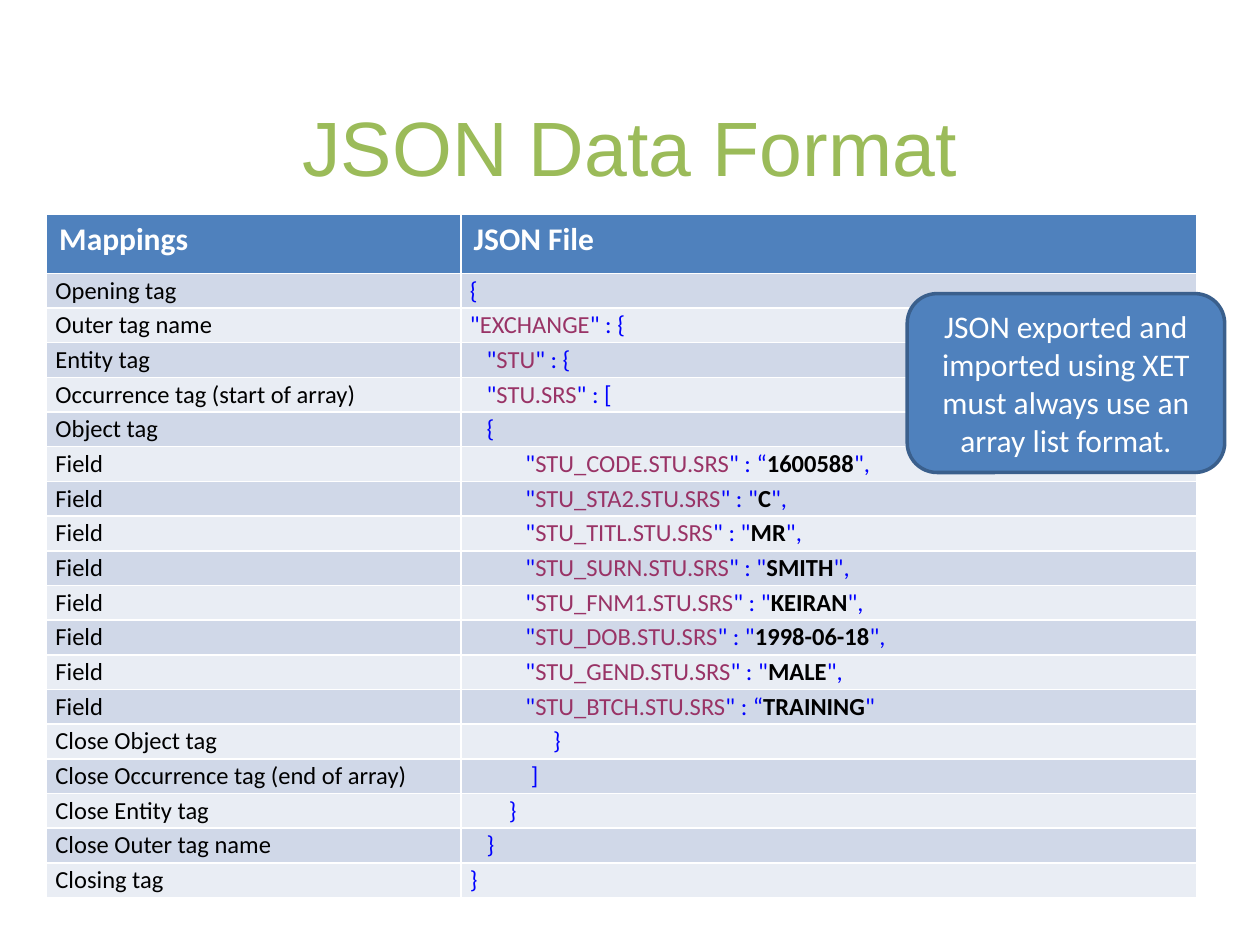
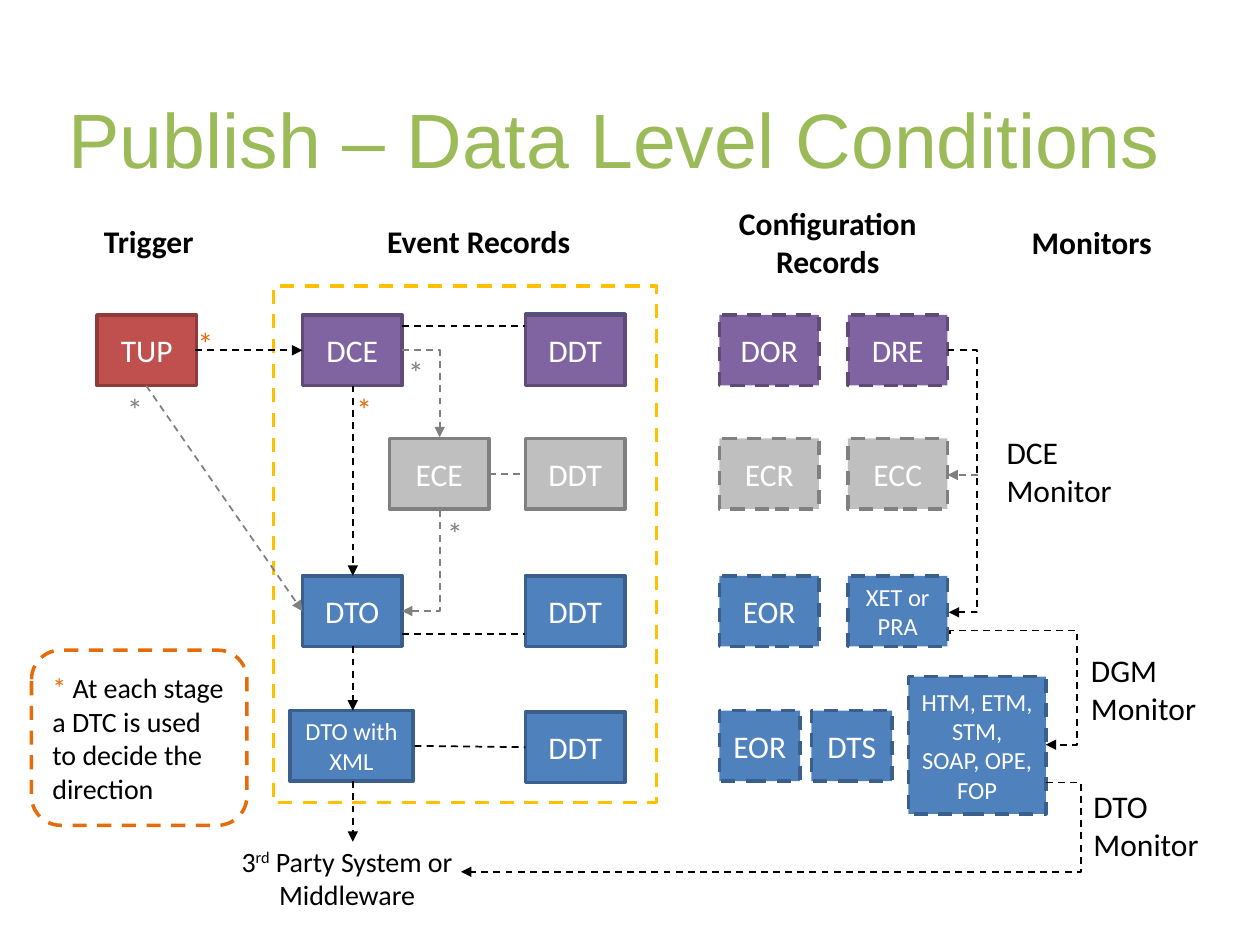
from lxml import etree
from pptx import Presentation
from pptx.dml.color import RGBColor
from pptx.enum.dml import MSO_LINE
from pptx.enum.shapes import MSO_CONNECTOR, MSO_SHAPE
from pptx.enum.text import MSO_ANCHOR, PP_ALIGN
from pptx.oxml.ns import qn
from pptx.util import Inches, Pt

RECTANGLE, ROUNDED = MSO_SHAPE.RECTANGLE, MSO_SHAPE.ROUNDED_RECTANGLE
STRAIGHT, ELBOW = MSO_CONNECTOR.STRAIGHT, MSO_CONNECTOR.ELBOW
DASH = MSO_LINE.DASH
LEFT, CENTER, JUSTIFY = PP_ALIGN.LEFT, PP_ALIGN.CENTER, PP_ALIGN.JUSTIFY
TOP, MIDDLE = MSO_ANCHOR.TOP, MSO_ANCHOR.MIDDLE

BLACK = RGBColor(0x00, 0x00, 0x00)
WHITE = RGBColor(0xFF, 0xFF, 0xFF)
TITLE_GREEN = RGBColor(0x9B, 0xBB, 0x59)
BLUE = RGBColor(0x4F, 0x81, 0xBD)
DARK_BLUE = RGBColor(0x3A, 0x5F, 0x8C)
PURPLE = RGBColor(0x80, 0x64, 0xA2)
DARK_PURPLE = RGBColor(0x5F, 0x4A, 0x78)
RED = RGBColor(0xC0, 0x50, 0x4D)
DARK_RED = RGBColor(0x8E, 0x3B, 0x39)
SILVER = RGBColor(0xBF, 0xBF, 0xBF)
GRAY = RGBColor(0x80, 0x80, 0x80)
GOLD = RGBColor(0xFF, 0xC0, 0x00)
ORANGE = RGBColor(0xE4, 0x6C, 0x0A)
BAND_DARK = RGBColor(0xD0, 0xD8, 0xE8)
BAND_LIGHT = RGBColor(0xE9, 0xED, 0xF4)
SYNTAX_BLUE = RGBColor(0x00, 0x00, 0xFF)
KEY_PLUM = RGBColor(0x99, 0x33, 0x66)

BLUE_STYLE = (BLUE, DARK_BLUE)
PURPLE_STYLE = (PURPLE, DARK_PURPLE)
RED_STYLE = (RED, DARK_RED)
GRAY_STYLE = (SILVER, GRAY)

CELL_MARGIN = 0.07
INDENT_STEP = 0.044

# Label, indent steps, opening text, key, separator, value, closing text
MAPPINGS = [
    ("Opening tag", 0, "{"),
    ("Outer tag name", 0, '"', "EXCHANGE", '" : {'),
    ("Entity tag", 3, '"', "STU", '" : {'),
    ("Occurrence tag (start of array)", 3, '"', "STU.SRS", '" : ['),
    ("Object tag", 3, "{"),
    ("Field", 10, '"', "STU_CODE.STU.SRS", '" : “', "1600588", '",'),
    ("Field", 10, '"', "STU_STA2.STU.SRS", '" : "', "C", '",'),
    ("Field", 10, '"', "STU_TITL.STU.SRS", '" : "', "MR", '",'),
    ("Field", 10, '"', "STU_SURN.STU.SRS", '" : "', "SMITH", '",'),
    ("Field", 10, '"', "STU_FNM1.STU.SRS", '" : "', "KEIRAN", '",'),
    ("Field", 10, '"', "STU_DOB.STU.SRS", '" : "', "1998-06-18", '",'),
    ("Field", 10, '"', "STU_GEND.STU.SRS", '" : "', "MALE", '",'),
    ("Field", 10, '"', "STU_BTCH.STU.SRS", '" : “', "TRAINING", '"'),
    ("Close Object tag", 15, "}"),
    ("Close Occurrence tag (end of array)", 11, "]"),
    ("Close Entity tag", 7, "}"),
    ("Close Outer tag name", 3, "}"),
    ("Closing tag", 0, "}"),
]
SYNTAX_FORMATS = [
    {"color": SYNTAX_BLUE},
    {"color": KEY_PLUM},
    {"color": SYNTAX_BLUE},
    {"color": BLACK, "bold": True},
    {"color": SYNTAX_BLUE},
]


def write_text(frame, text, size=18, color=BLACK, bold=False, font="Calibri", align=LEFT):
    """Fill a frame with a string (one paragraph a line) or a list of (text, format) runs."""
    lines = [[(line, {})] for line in text.split("\n")] if isinstance(text, str) else [text]
    frame.word_wrap = True
    for index, runs in enumerate(lines):
        paragraph = frame.add_paragraph() if index else frame.paragraphs[0]
        paragraph.alignment = align
        for content, changes in runs:
            run = paragraph.add_run()
            run.text = content
            run.font.name = font
            run.font.size = Pt(size)
            run.font.bold = changes.get("bold", bold)
            run.font.color.rgb = changes.get("color", color)
            if "baseline" in changes:
                run.font._element.set("baseline", str(changes["baseline"]))


def add_text(slide, position, text, anchor=TOP, **text_format):
    box = slide.shapes.add_textbox(*map(Inches, position))
    box.text_frame.vertical_anchor = anchor
    write_text(box.text_frame, text, **text_format)


def add_title(slide, left, top, text):
    add_text(slide, (left, top, 9, 1.25), text, anchor=MIDDLE, size=44,
             color=TITLE_GREEN, font="Arial", align=CENTER)


def add_box(slide, position, text="", style=(None, BLACK), kind=RECTANGLE, dashed=False,
            color=WHITE, align=CENTER, **text_format):
    fill, outline = style
    shape = slide.shapes.add_shape(kind, *map(Inches, position))
    shape.shadow.inherit = False
    if fill is None:
        shape.fill.background()
    else:
        shape.fill.solid()
        shape.fill.fore_color.rgb = fill
    shape.line.color.rgb = outline
    shape.line.width = Pt(2)
    if dashed:
        shape.line.dash_style = DASH
    shape.text_frame.vertical_anchor = MIDDLE
    if text:
        write_text(shape.text_frame, text, color=color, align=align, **text_format)


def add_dashed_line(slide, start, end, color=BLACK, arrow=True, kind=STRAIGHT):
    connector = slide.shapes.add_connector(kind, *map(Inches, start + end))
    connector.line.color.rgb = color
    connector.line.width = Pt(1)
    connector.line.dash_style = DASH
    if arrow:
        etree.SubElement(connector.line._get_or_add_ln(), qn("a:tailEnd"), type="triangle")
    etree.SubElement(connector._element.spPr, qn("a:effectLst"))
    return connector


def add_bent_arrow(slide, start, end, bends, color=BLACK, rotation=0, adjustments=()):
    """Draw an elbow arrow; start and end are its corners before rotation."""
    connector = add_dashed_line(slide, start, end, color, kind=ELBOW)
    properties = connector._element.spPr
    properties.find(qn("a:xfrm")).set("rot", str(rotation * 60000))
    geometry = properties.find(qn("a:prstGeom"))
    geometry.set("prst", f"bentConnector{bends + 1}")
    guides = geometry.find(qn("a:avLst"))
    for number, value in enumerate(adjustments, 1):
        etree.SubElement(guides, qn("a:gd"), name=f"adj{number}",
                         fmla=f"val {round(value * 100000)}")


def fill_cell(cell, text, fill, **text_format):
    cell.fill.solid()
    cell.fill.fore_color.rgb = fill
    write_text(cell.text_frame, text, **text_format)


def add_mapping_table(slide):
    rows = len(MAPPINGS) + 1
    table = slide.shapes.add_table(rows, 2, Inches(0.37), Inches(1.7),
                                   Inches(9.13), Inches(5.43)).table
    table.columns[0].width = Inches(3.29)
    table.columns[1].width = Inches(5.84)
    for index, row in enumerate(table.rows):
        row.height = Inches(4.96 / len(MAPPINGS) if index else 0.47)
    for column, heading in enumerate(("Mappings", "JSON File")):
        fill_cell(table.cell(0, column), heading, BLUE, color=WHITE, bold=True)
    for index, (label, indent, *parts) in enumerate(MAPPINGS, 1):
        band = BAND_DARK if index % 2 else BAND_LIGHT
        label_cell, code_cell = table.cell(index, 0), table.cell(index, 1)
        for cell in (label_cell, code_cell):
            cell.vertical_anchor = MIDDLE
            cell.margin_left = cell.margin_right = Inches(CELL_MARGIN)
            cell.margin_top = cell.margin_bottom = 0
        code_cell.margin_left = Inches(CELL_MARGIN + indent * INDENT_STEP)
        fill_cell(label_cell, label, band, size=14)
        fill_cell(code_cell, list(zip(parts, SYNTAX_FORMATS)), band, size=14, align=JUSTIFY)


def build_json_slide(slide):
    add_title(slide, 0.5, 0.53, "JSON Data Format")
    add_mapping_table(slide)
    add_box(slide, (7.2, 2.33, 2.52, 1.42),
            "JSON exported and imported using XET must always use an array list format.",
            BLUE_STYLE, ROUNDED)


def add_record_boxes(slide):
    width, height = 0.79, 0.56
    add_box(slide, (4.17, 2.49, width, 0.47), style=BLUE_STYLE)
    for left, top, text, style in [
        (0.77, 2.5, "TUP", RED_STYLE),
        (2.4, 2.5, "DCE", PURPLE_STYLE),
        (4.17, 2.5, "DDT", PURPLE_STYLE),
        (3.09, 3.48, "ECE", GRAY_STYLE),
        (4.17, 3.48, "DDT", GRAY_STYLE),
        (2.4, 4.57, "DTO", BLUE_STYLE),
        (4.17, 4.57, "DDT", BLUE_STYLE),
        (4.17, 5.65, "DDT", BLUE_STYLE),
    ]:
        add_box(slide, (left, top, width, height), text, style)
    add_box(slide, (2.3, 5.64, 0.98, height), "DTO with XML", BLUE_STYLE, size=14)

    for top, style, names in [
        (2.5, PURPLE_STYLE, ("DOR", "DRE")),
        (3.48, GRAY_STYLE, ("ECR", "ECC")),
        (4.57, BLUE_STYLE, ("EOR", "XET or PRA")),
    ]:
        for left, name in zip((5.71, 6.73), names):
            add_box(slide, (left, top, width, height), name, style, dashed=True,
                    size=18 if len(name) == 3 else 14)
    for left, name in ((5.71, "EOR"), (6.44, "DTS")):
        add_box(slide, (left, 5.64, 0.64, height), name, BLUE_STYLE, dashed=True)
    add_box(slide, (7.21, 5.37, 1.09, 1.09), "HTM, ETM, STM, SOAP, OPE, FOP",
            BLUE_STYLE, dashed=True, size=14)
    add_box(slide, (2.17, 2.27, 3.04, 4.1), style=(None, GOLD), dashed=True)


def add_flow_lines(slide):
    for start, end, color in [
        ((1.55, 2.78), (2.4, 2.78), BLACK),
        ((1.16, 3.06), (2.4, 4.85), GRAY),
        ((2.8, 3.06), (2.8, 4.57), BLACK),
        ((2.8, 5.13), (2.8, 5.64), BLACK),
        ((2.8, 6.2), (2.8, 6.68), BLACK),
        ((7.76, 3.77), (7.52, 3.77), GRAY),
    ]:
        add_dashed_line(slide, start, end, color)
    for start, end, color in [
        ((3.19, 2.59), (4.17, 2.59), BLACK),
        ((3.88, 3.76), (4.17, 3.76), GRAY),
        ((3.19, 5.03), (4.17, 5.03), BLACK),
        ((3.29, 5.92), (4.17, 5.93), BLACK),
    ]:
        add_dashed_line(slide, start, end, color, arrow=False)
    add_bent_arrow(slide, (3.19, 2.78), (3.49, 3.47), 1, GRAY)
    add_bent_arrow(slide, (2.94, 4.3), (3.74, 4.6), 1, GRAY, rotation=90)
    add_bent_arrow(slide, (7.52, 2.78), (7.53, 4.86), 2, adjustments=[24])
    add_bent_arrow(slide, (8.36, 5.09), (7.48, 5.85), 3, rotation=270,
                   adjustments=[-0.03, 1.33])
    add_bent_arrow(slide, (8.3, 6.21), (3.66, 6.92), 2, adjustments=[-0.06])


def build_publish_slide(slide):
    add_title(slide, 0.38, 0.47, "Publish – Data Level Conditions")
    for position, heading in [
        ((0.67, 1.71, 1.02, 0.4), "Trigger"),
        ((2.4, 1.71, 2.8, 0.4), "Event Records"),
        ((5.31, 1.57, 2.52, 0.71), "Configuration\nRecords"),
        ((8.08, 1.72, 1.17, 0.4), "Monitors"),
    ]:
        add_text(slide, position, heading, bold=True, align=CENTER)
    add_record_boxes(slide)
    add_flow_lines(slide)
    for left, top, name in ((7.89, 3.39, "DCE"), (8.56, 5.12, "DGM"), (8.58, 6.2, "DTO")):
        add_text(slide, (left, top, 1.09, 0.71), f"{name} Monitor")
    add_text(slide, (1.72, 6.65, 2.07, 0.64),
             [("3", {}), ("rd", {"baseline": 30000}), (" Party System or Middleware", {})],
             size=16, align=CENTER)
    for left, top, color in [
        (0.91, 3.05, GRAY),
        (1.47, 2.52, ORANGE),
        (2.73, 3.05, ORANGE),
        (3.14, 2.75, GRAY),
        (3.45, 4.03, GRAY),
    ]:
        add_text(slide, (left, top, 0.28, 0.4), "*", color=color)
    add_box(slide, (0.25, 5.16, 1.71, 1.39),
            [("* ", {"color": ORANGE}),
             ("At each stage a DTC is used to decide the direction", {})],
            (None, ORANGE), ROUNDED, dashed=True, color=BLACK, size=16, align=LEFT)


def main():
    presentation = Presentation()
    presentation.slide_width, presentation.slide_height = Inches(10), Inches(7.5)
    blank_layout = presentation.slide_layouts[6]
    for build in (build_json_slide, build_publish_slide):
        build(presentation.slides.add_slide(blank_layout))
    presentation.save("out.pptx")


if __name__ == "__main__":
    main()
